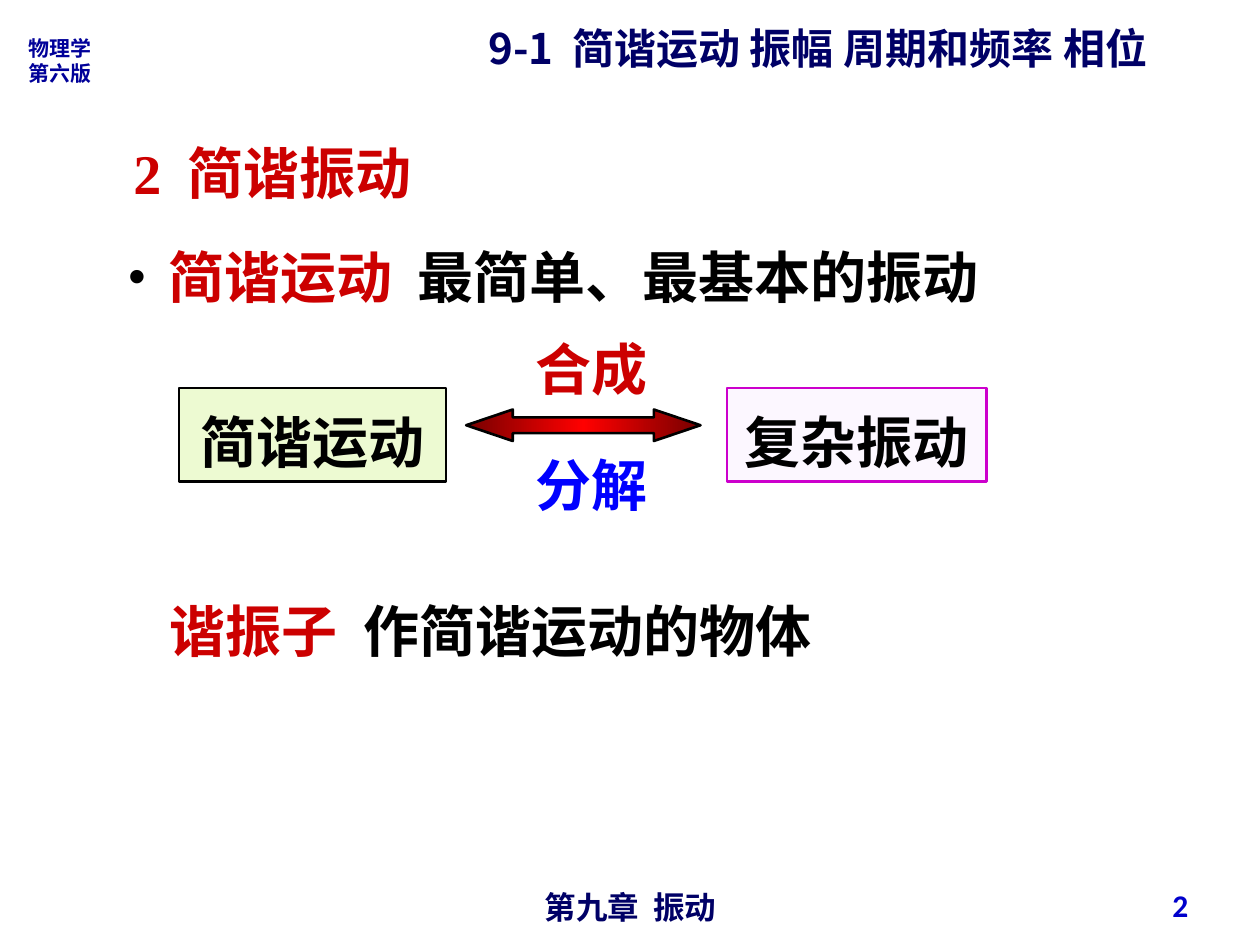
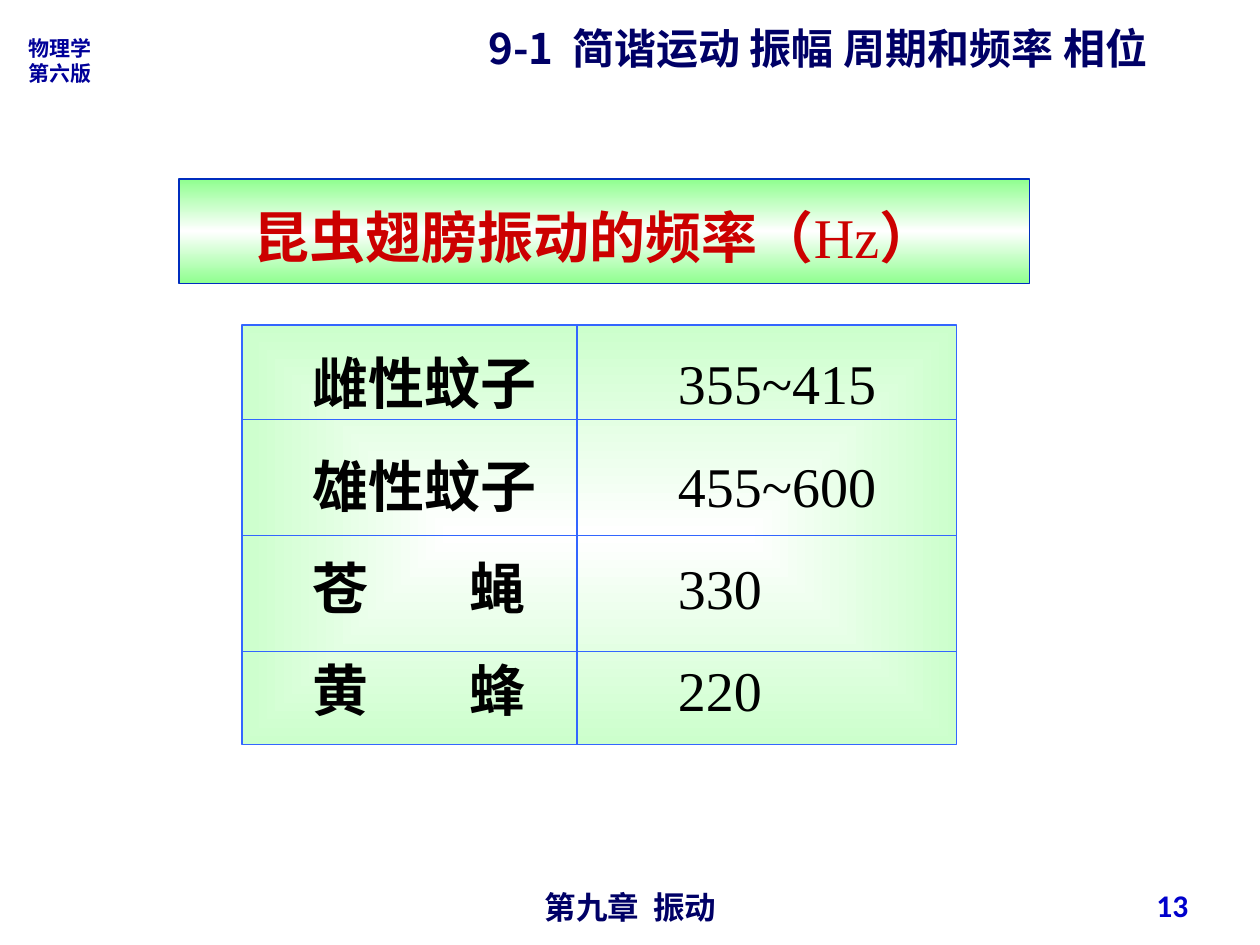
from pptx import Presentation
from pptx.dml.color import RGBColor
from pptx.enum import shapes, text
from pptx.oxml import parse_xml
from pptx.oxml.ns import nsdecls, qn
from pptx.util import Inches, Pt

NAVY = RGBColor(0x00, 0x00, 0x66)
INDIGO = RGBColor(0x00, 0x00, 0x99)
PAGE_BLUE = RGBColor(0x00, 0x00, 0xCC)
BLUE = RGBColor(0x00, 0x00, 0xFF)
GRID_BLUE = RGBColor(0x33, 0x66, 0xFF)
BANNER_LINE = RGBColor(0x00, 0x2D, 0xBE)
RED = RGBColor(0xCC, 0x00, 0x00)
DARK_RED = RGBColor(0x76, 0x00, 0x00)
BRIGHT_RED = RGBColor(0xFF, 0x00, 0x00)
PURPLE = RGBColor(0xCC, 0x00, 0xCC)
LILAC = RGBColor(0xFC, 0xF7, 0xFF)
LIME = RGBColor(0xED, 0xFA, 0xD2)
GREEN = RGBColor(0x8F, 0xFF, 0x8F)
PALE_GREEN = RGBColor(0xCC, 0xFF, 0xCC)
BLACK = RGBColor(0, 0, 0)
WHITE = RGBColor(0xFF, 0xFF, 0xFF)

HAN = "Noto Sans CJK SC"
SERIF = "Times New Roman"
CENTER, RIGHT = text.PP_ALIGN.CENTER, text.PP_ALIGN.RIGHT


# Text helpers
def add_run(p, words, color, size=32, font=HAN, bold=True, spread=0):
    """Add one run; spread is extra width in points after each character."""
    r = p.add_run()
    r.text = words
    r.font.size, r.font.bold, r.font.name = Pt(size), bold, font
    r.font.color.rgb = color
    rpr = r._r.get_or_add_rPr()
    rpr.append(parse_xml(f'<a:ea {nsdecls("a")} typeface="{HAN}"/>'))
    if spread:
        rpr.set("spc", str(round(spread * 100)))


def add_pair(p, first, second, colors, size=32, font=HAN):
    """Add two phrases with a double-width space between them."""
    add_run(p, first, colors[0], size, font)
    add_run(p, " ", colors[0], size, font, spread=size * 0.22)
    add_run(p, second, colors[1], size, font)


def add_box(s, x, y, w, h, align=None, spacing=None):
    """Add a wrapping text box and return its first paragraph."""
    tf = s.shapes.add_textbox(Inches(x), Inches(y), Inches(w), Inches(h)).text_frame
    tf.word_wrap = True
    return style(tf.paragraphs[0], align, spacing)


def style(p, align=None, spacing=None):
    p.alignment, p.line_spacing = align, spacing
    return p


# Shape helpers
def add_panel(s, kind, x, y, w, h, line, width=0.75):
    sp = s.shapes.add_shape(kind, Inches(x), Inches(y), Inches(w), Inches(h))
    sp.shadow.inherit = False
    sp.line.color.rgb, sp.line.width = line, Pt(width)
    return sp


def add_rule(s, x1, y1, x2, y2):
    rule = s.shapes.add_connector(shapes.MSO_CONNECTOR.STRAIGHT, Inches(x1), Inches(y1),
                                  Inches(x2), Inches(y2))
    rule.line.color.rgb, rule.line.width = GRID_BLUE, Pt(0.75)
    rule._element.spPr.append(parse_xml(f'<a:effectLst {nsdecls("a")}/>'))


def set_gradient(sp, colors, direction):
    """Spread the colours evenly along the given direction element."""
    step = 100000 // (len(colors) - 1)
    stops = "".join(f'<a:gs pos="{i * step}"><a:srgbClr val="{c}"/></a:gs>'
                    for i, c in enumerate(colors))
    sp.fill.gradient()
    old = sp._element.spPr.find(qn("a:gradFill"))
    old.getparent().replace(old, parse_xml(
        f'<a:gradFill {nsdecls("a")} rotWithShape="1"><a:gsLst>{stops}</a:gsLst>'
        f'{direction}</a:gradFill>'))


def linear(degrees):
    return f'<a:lin ang="{degrees * 60000}" scaled="0"/>'


FROM_CENTER = ('<a:path path="rect"><a:fillToRect l="50000" t="50000" '
               'r="50000" b="50000"/></a:path>')


# Header and footer of every slide
def add_lesson_slide(prs, number):
    s = prs.slides.add_slide(prs.slide_layouts[6])
    add_pair(add_box(s, 3.78, 0.13, 6.1, 0.5), "9-1", "简谐运动 振幅 周期和频率 相位",
             (NAVY, NAVY), 24)
    add_pair(add_box(s, 3.42, 7, 3.17, 0.29, CENTER), "第九章", "振动",
             (NAVY, NAVY), 18, "Arial")
    p = add_box(s, 0.13, 0.23, 0.72, 0.5)
    add_run(p, "物理学", INDIGO, 12)
    add_run(p._parent.add_paragraph(), "第六版", INDIGO, 12)
    add_run(add_box(s, 7.2, 6.98, 2.33, 0.45, RIGHT), str(number), PAGE_BLUE, 18, "Calibri")
    return s


# Simple and complex vibration joined by a two-way arrow
def add_synthesis_diagram(s, x, y):
    for dx, w, words, fill, line in ((0, 2.12, "简谐运动", LIME, BLACK),
                                     (4.35, 2.06, "复杂振动", LILAC, PURPLE)):
        sp = add_panel(s, shapes.MSO_SHAPE.RECTANGLE, x + dx, y + 0.58, w, 0.74, line, 1.5)
        sp.fill.solid()
        sp.fill.fore_color.rgb = fill
        sp.text_frame.vertical_anchor = text.MSO_ANCHOR.TOP
        add_run(style(sp.text_frame.paragraphs[0], CENTER, 1.2), words, BLACK)

    for dy, words, color in ((0, "合成", RED), (0.92, "分解", BLUE)):
        add_run(add_box(s, x + 2.73, y + dy, 1.35, 0.74, spacing=1.2), words, color)

    arrow = add_panel(s, shapes.MSO_SHAPE.LEFT_RIGHT_ARROW, x + 2.28, y + 0.75,
                      1.86, 0.25, BLACK, 1.5)
    arrow.adjustments[0], arrow.adjustments[1] = 0.5, 1.48
    set_gradient(arrow, (DARK_RED, BRIGHT_RED, DARK_RED), linear(0))


def build_harmonic_slide(prs):
    s = add_lesson_slide(prs, 2)
    add_pair(add_box(s, 0.96, 1.05, 5.62, 0.64), "2", "简谐振动", (RED, RED), font=SERIF)

    # Bulleted definition
    p = add_box(s, 0.92, 1.77, 8.37, 0.74, spacing=1.2)
    ppr = p._p.get_or_add_pPr()
    ppr.set("marL", str(Inches(0.32)))
    ppr.set("indent", str(-Inches(0.32)))
    for bullet in ('<a:buClr {}><a:srgbClr val="000000"/></a:buClr>',
                   '<a:buSzPct {} val="88000"/>',
                   '<a:buFont {} typeface="Arial"/>', '<a:buChar {} char="•"/>'):
        ppr.append(parse_xml(bullet.format(nsdecls("a"))))
    add_pair(p, "简谐运动", "最简单、最基本的振动", (RED, BLACK))

    add_synthesis_diagram(s, 1.42, 2.5)
    add_pair(add_box(s, 1.25, 4.58, 6, 0.74, spacing=1.2), "谐振子", "作简谐运动的物体",
             (RED, BLACK))


# Banner above the frequency list
def add_banner(s, x, y, w, h):
    sp = add_panel(s, shapes.MSO_SHAPE.RECTANGLE, x, y, w, h, BANNER_LINE)
    set_gradient(sp, (GREEN, WHITE, GREEN), linear(90))
    tf = sp.text_frame
    tf.margin_left, tf.margin_top = Inches(0.59), Inches(0.13)
    p = style(tf.paragraphs[0], text.PP_ALIGN.LEFT)
    for words, bold in (("昆虫翅膀振动的频率（", True), ("Hz", False), ("）", True)):
        add_run(p, words, RED, font=SERIF, bold=bold)


# Wing frequencies in a ruled panel shaded from its centre
def add_frequency_list(s, x, y, w, h, rows):
    panel = add_panel(s, shapes.MSO_SHAPE.RECTANGLE, x, y, w, h, GRID_BLUE)
    set_gradient(panel, (WHITE, PALE_GREEN), FROM_CENTER)

    # Evenly spaced lines of text; tab stops align the second characters and values
    first = add_box(s, x + 0.16, y + 0.14, 6.83, 3.07)
    tf = first._parent
    tf.margin_left = Inches(0.4)
    stops = "".join(f'<a:tab pos="{Inches(at)}" algn="l"/>' for at in (1.25, 2.9))
    for i, (insect, frequency) in enumerate(rows):
        p = tf.add_paragraph() if i else first
        if i:
            p.space_before = Pt(20)
        p._p.get_or_add_pPr().append(
            parse_xml(f'<a:tabLst {nsdecls("a")}>{stops}</a:tabLst>'))
        add_run(p, insect + "\t", BLACK, font=SERIF)
        add_run(p, frequency, BLACK, font=SERIF, bold=False)

    # Rules between rows and columns
    for i in range(len(rows) - 1):
        rule_y = y + 0.75 + 0.92 * i
        add_rule(s, x, rule_y, x + w, rule_y)
    add_rule(s, x + 2.66, y, x + 2.66, y + h)


def build_insect_slide(prs):
    s = add_lesson_slide(prs, 13)
    add_banner(s, 1.42, 1.42, 6.75, 0.83)
    add_frequency_list(s, 1.92, 2.58, 5.67, 3.33,
                       (("雌性蚊子", "355~415"), ("雄性蚊子", "455~600"),
                        ("苍\t蝇", "330"), ("黄\t蜂", "220")))


def main():
    prs = Presentation()
    prs.slide_width, prs.slide_height = Inches(10), Inches(7.5)
    build_harmonic_slide(prs)
    build_insect_slide(prs)
    prs.save("out.pptx")


if __name__ == "__main__":
    main()
